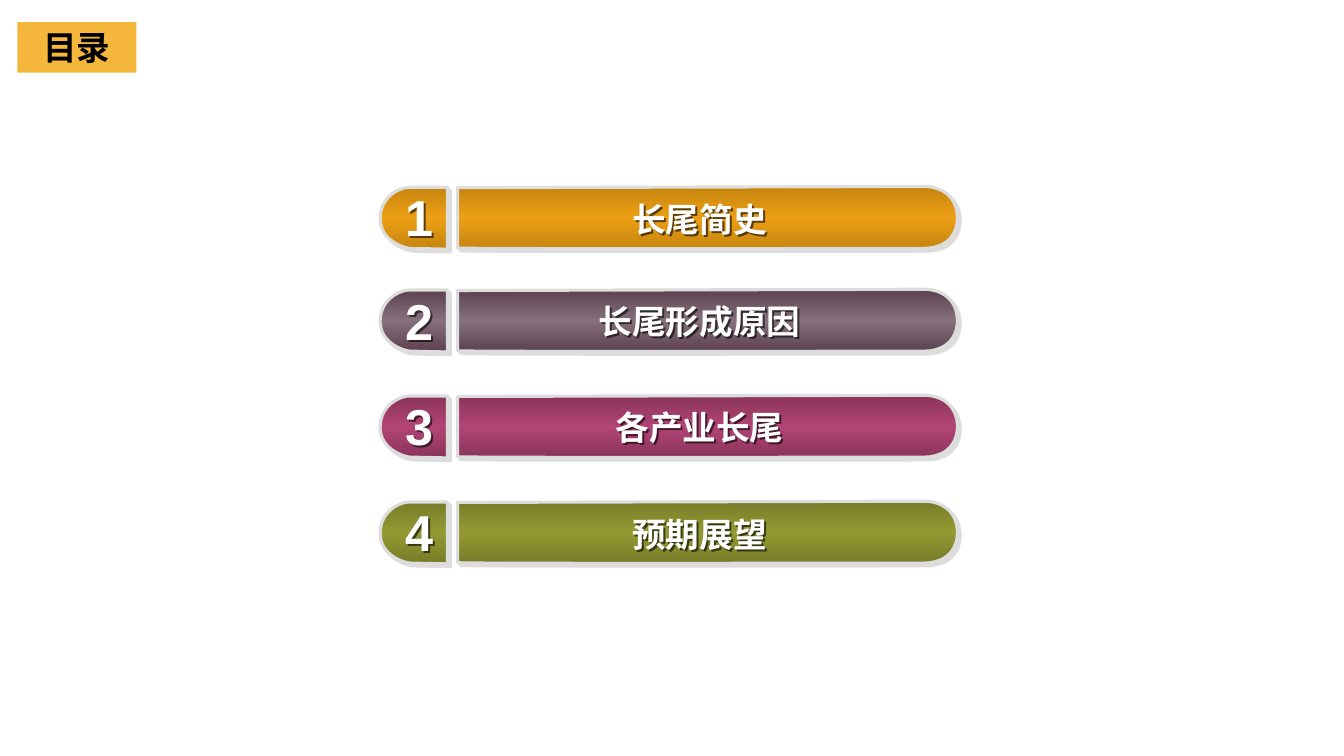
from copy import deepcopy
from dataclasses import dataclass
from itertools import chain

from lxml.etree import SubElement
from pptx import Presentation
from pptx.dml.color import RGBColor as Rgb
from pptx.enum.shapes import MSO_SHAPE as Preset
from pptx.enum.text import MSO_ANCHOR as Anchor, MSO_AUTO_SIZE as AutoSize, PP_ALIGN as Align
from pptx.oxml.ns import qn
from pptx.util import Cm, Pt

HEADING = "目录"
CHAPTERS = [
    {"number": "1", "label": "长尾简史", "top": 4.7, "label_top": 4.88, "number_top": 4.56},
    {"number": "2", "label": "长尾形成原因", "top": 7.29, "label_top": 7.45, "number_top": 7.19},
    {"number": "3", "label": "各产业长尾", "top": 9.96, "label_top": 10.14, "number_top": 9.83},
    {"number": "4", "label": "预期展望", "top": 12.63, "label_top": 12.83, "number_top": 12.5},
]

BAR_LEFT, CAP_LEFT = 11.53, 9.58
BAR_OUTLINE = [
    [(0, 0.03)],
    [(0, 1.55)],
    [(0.43, 1.58), (11.43, 1.56), (11.76, 1.56)],
    [(12.09, 1.56), (12.57, 1.42), (12.6, 0.81)],
    [(12.6, 0.2), (12.14, 0), (11.76, 0)],
    [(11.38, 0), (0.43, 0.03), (0, 0.03)],
]
CAP_OUTLINE = [
    [(1.7, 0.02)],
    [(1.7, 0.8), (1.7, 1.58), (1.7, 1.58)],
    [(0.76, 1.56)],
    [(0.64, 1.56), (0, 1.38), (0, 0.81)],
    [(0, 0.2), (0.58, 0), (0.76, 0.02)],
    [(1.7, 0.02)],
]


@dataclass(frozen=True)
class Theme:
    bands: tuple = (("C5850F", "EC9F14"), ("5C414F", "85707B"), ("893459", "B24476"), ("787C29", "939932"))
    heading_fill: str = "F5B73B"
    heading_text: str = "000000"
    text: str = "FFFFFF"
    rim: str = "DDDDDD"
    text_shadow: str = "000000"
    heading_font: str = "Calibri"
    font: str = "Arial"
    label_size: int = 24
    number_size: int = 36
    rim_width: float = 2.25
    panel_shadow: float = 2.8
    caption_shadow: float = 2


THEME = Theme()


def add_shadow(shape, color, distance, opacity):
    shape.shadow.inherit = False
    effects = shape._element.spPr.find(qn("a:effectLst"))
    shadow = SubElement(
        effects, qn("a:outerShdw"), blurRad="0", dist=str(Pt(distance)),
        dir="2700000", algn="ctr", rotWithShape="0",
    )
    tone = SubElement(shadow, qn("a:srgbClr"), val=color)
    SubElement(tone, qn("a:alpha"), val=str(opacity * 1000))


def bend(panel, outline):
    lines = iter(panel._element.spPr.findall(".//" + qn("a:lnTo")))
    for segment in outline[1:]:
        first, *others = [next(lines) for _ in segment]
        if others:
            first.tag = qn("a:cubicBezTo")
            for line in others:
                first.append(line[0])
                line.getparent().remove(line)


def curve(panel, outline):
    course = panel._element.spPr.find(".//" + qn("a:moveTo")).getparent()
    lines = iter(course.findall(qn("a:lnTo")))
    for segment in outline[1:]:
        members = [next(lines) for _ in segment]
        if len(members) == 3:
            bezier = course.makeelement(qn("a:cubicBezTo"))
            members[0].addprevious(bezier)
            for line in members:
                bezier.append(line[0])
                course.remove(line)


def add_panel(slide, outline, left, top, edge, middle):
    points = [(Cm(left + x), Cm(top + y)) for x, y in chain.from_iterable(outline)]
    builder = slide.shapes.build_freeform(*points[0], scale=1.0)
    builder.add_line_segments(points[1:], close=True)
    panel = builder.convert_to_shape()
    curve(panel, outline)
    panel.fill.gradient()
    stop_list = panel._element.spPr.find(".//" + qn("a:gsLst"))
    stop_list.append(deepcopy(stop_list[-1]))
    for stop, position, color in zip(panel.fill.gradient_stops, (0, 0.5, 1), (edge, middle, edge)):
        stop.position = position
        stop.color.rgb = Rgb.from_string(color)
    panel.fill.gradient_angle = 270
    panel.line.color.rgb = Rgb.from_string(THEME.rim)
    panel.line.width = Pt(THEME.rim_width)
    add_shadow(panel, THEME.rim, THEME.panel_shadow, 100)


def write(box, text, size, color, font):
    frame = box.text_frame
    frame.word_wrap = True
    frame.auto_size = AutoSize.SHAPE_TO_FIT_TEXT
    para = frame.paragraphs[0]
    para.alignment = Align.CENTER
    span = para.add_run()
    span.text = text
    span.font.size = Pt(size)
    span.font.bold = True
    span.font.color.rgb = Rgb.from_string(color)
    span.font.name = font


def add_caption(slide, place, text, size):
    box = slide.shapes.add_textbox(*map(Cm, place))
    write(box, text, size, THEME.text, THEME.font)
    add_shadow(box, THEME.text_shadow, THEME.caption_shadow, 60)


def add_chapter(slide, chapter, band):
    add_panel(slide, BAR_OUTLINE, BAR_LEFT, chapter["top"], *band)
    add_panel(slide, CAP_OUTLINE, CAP_LEFT, chapter["top"], *band)
    add_caption(slide, (12.65, chapter["label_top"], 9.96, 1.27), chapter["label"], THEME.label_size)
    add_caption(slide, (9.96, chapter["number_top"], 0.84, 1.78), chapter["number"], THEME.number_size)


def add_heading(slide):
    box = slide.shapes.add_shape(Preset.RECTANGLE, *map(Cm, (0.44, 0.56, 3, 1.27)))
    box.shadow.inherit = False
    box.fill.solid()
    box.fill.fore_color.rgb = Rgb.from_string(THEME.heading_fill)
    box.line.fill.background()
    box.text_frame.vertical_anchor = Anchor.MIDDLE
    write(box, HEADING, THEME.label_size, THEME.heading_text, THEME.heading_font)


def main():
    deck = Presentation()
    deck.slide_width, deck.slide_height = Cm(33.87), Cm(19.05)
    page = deck.slides.add_slide(deck.slide_layouts[6])
    for chapter, band in zip(CHAPTERS, THEME.bands):
        add_chapter(page, chapter, band)
    add_heading(page)
    deck.save("out.pptx")


if __name__ == "__main__":
    main()
